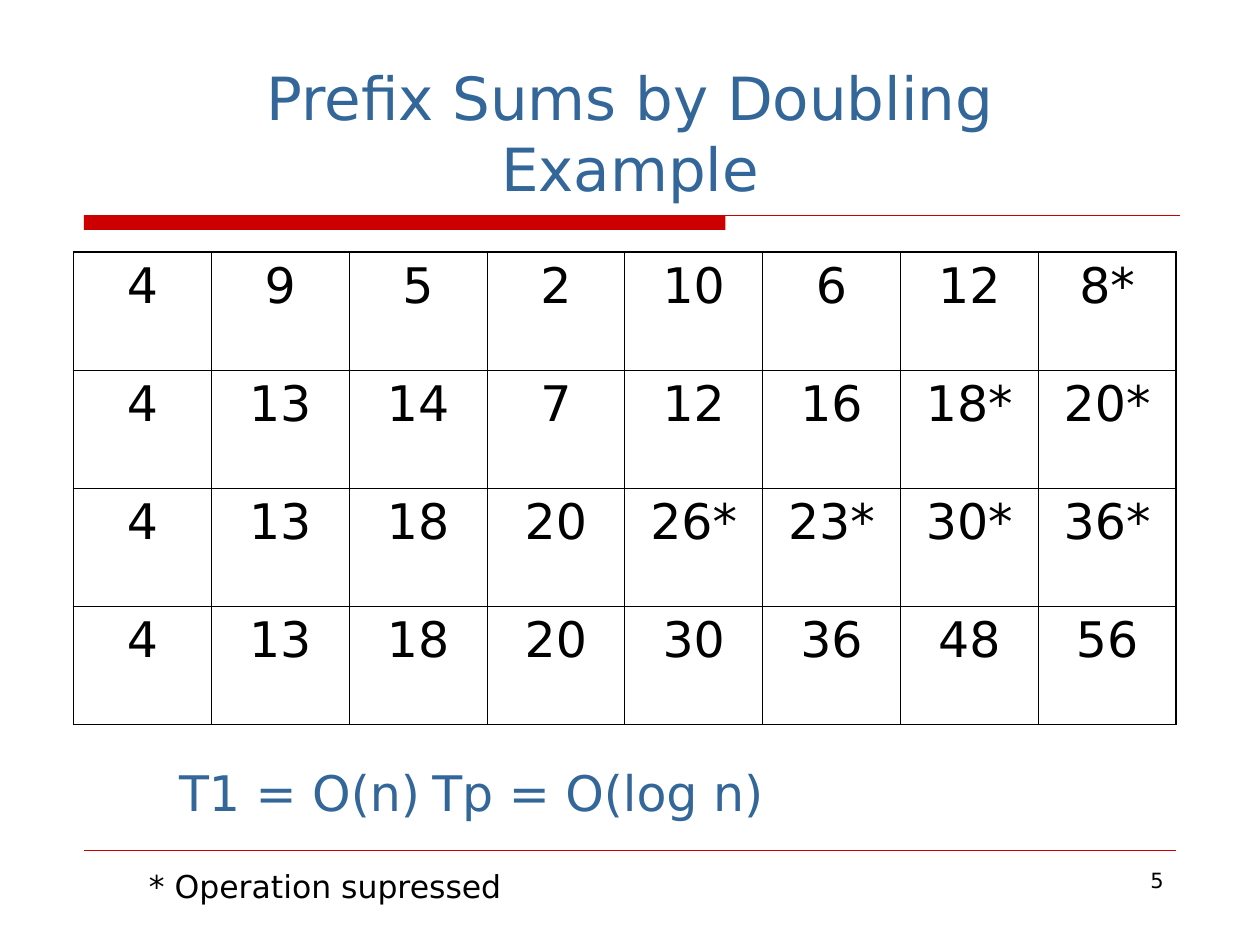
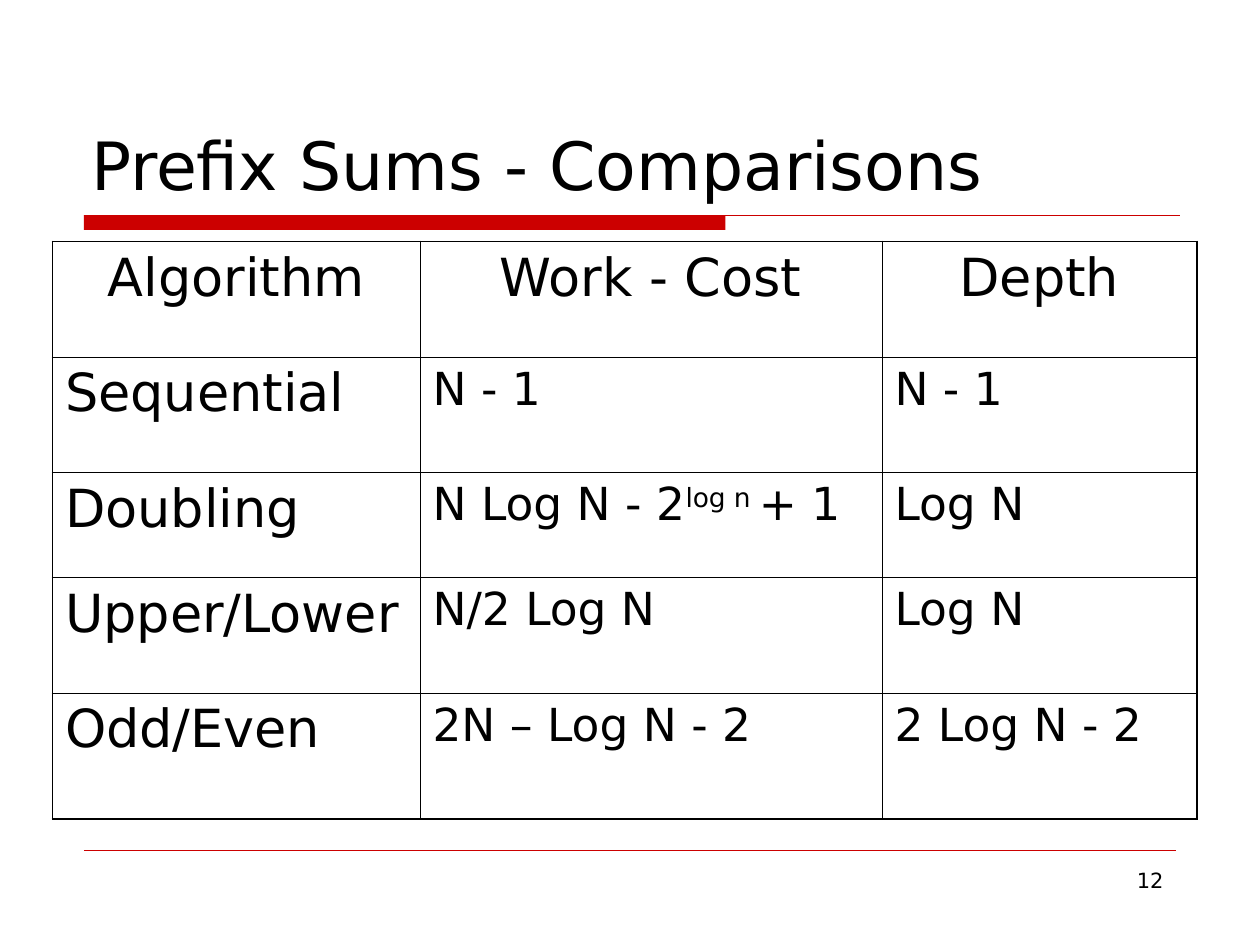
"""Builds two slides on prefix sums: a doubling example and a comparison table."""
from lxml import etree
from pptx import Presentation
from pptx import util as u
from pptx.dml.color import RGBColor
from pptx.enum import shapes, text
from pptx.oxml import ns

COLORS = {"accent": "CC0000", "heading": "336699", "ink": "000000"}
FONT = "DejaVu Sans"
COLUMNS, ROWS = 120, 90
OUTER, INNER = 1.08, 0.45
LEFT, CENTER, RIGHT = text.PP_ALIGN.LEFT, text.PP_ALIGN.CENTER, text.PP_ALIGN.RIGHT
TOP, BOTTOM = text.MSO_ANCHOR.TOP, text.MSO_ANCHOR.BOTTOM


class Deck:
    """Holds the style, the presentation and the current slide."""

    def __init__(self):
        """Start an empty 4:3 presentation."""
        self.prs = Presentation()
        self.prs.slide_width, self.prs.slide_height = u.Inches(10), u.Inches(7.5)
        self.slide = None

    def x(self, columns):
        """Turn grid columns into a length."""
        return round(self.prs.slide_width * columns / COLUMNS)

    def y(self, rows):
        """Turn grid rows into a length."""
        return round(self.prs.slide_height * rows / ROWS)

    def box(self, left, top, width, height):
        """Turn a grid area into lengths."""
        return self.x(left), self.y(top), self.x(width), self.y(height)

    def color(self, name):
        """Look up a named colour."""
        return RGBColor.from_string(COLORS[name])

    def new_slide(self, number):
        """Add a slide with its title band, footer rule and number."""
        self.slide = self.prs.slides.add_slide(self.prs.slide_layouts[6])
        self.band(8, 20.5, 61.1, 1.4)
        self.rule(8, 112.4, 20.5, 0.75)
        self.rule(8, 112, 81, 0.25)
        self.label((86, 82, 26, 6.2), str(number), 12, align=RIGHT)

    def band(self, *area):
        """Draw the solid bar under the title."""
        bar = self.slide.shapes.add_shape(shapes.MSO_SHAPE.RECTANGLE, *self.box(*area))
        bar.shadow.inherit = False
        bar.fill.solid()
        bar.fill.fore_color.rgb = self.color("accent")
        bar.line.fill.background()

    def rule(self, start, end, row, weight):
        """Draw a horizontal line."""
        line = self.slide.shapes.add_connector(
            shapes.MSO_CONNECTOR.STRAIGHT, self.x(start), self.y(row), self.x(end), self.y(row))
        line.line.color.rgb = self.color("accent")
        line.line.width = u.Pt(weight)
        etree.SubElement(line._element.spPr, ns.qn("a:effectLst"))

    def run(self, paragraph, words, size, color="ink", raised=False):
        """Add one styled run."""
        run = paragraph.add_run()
        run.text = words
        run.font.name, run.font.size = FONT, u.Pt(size)
        run.font.color.rgb = self.color(color)
        if raised:
            run._r.get_or_add_rPr().set("baseline", "30000")

    def label(self, area, words, size, color="ink", align=LEFT, anchor=TOP, indent=0, tab=None):
        """Add a text box; each line break in the words starts a new line."""
        frame = self.slide.shapes.add_textbox(*self.box(*area)).text_frame
        frame.word_wrap = True
        frame.vertical_anchor = anchor
        paragraph = frame.paragraphs[0]
        paragraph.alignment = align
        properties = paragraph._p.get_or_add_pPr()
        if indent:
            properties.set("marL", "0")
            properties.set("indent", str(u.Inches(indent)))
        if tab:
            stops = etree.SubElement(properties, ns.qn("a:tabLst"))
            etree.SubElement(stops, ns.qn("a:tab"), pos=str(u.Inches(tab)), algn="l")
        for i, line in enumerate(words.split("\n")):
            if i:
                paragraph.add_line_break()
            self.run(paragraph, line, size, color)

    def title(self, words, size, **style):
        """Add the slide title above the band."""
        self.label((7.5, 4, 105, 16), words, size, anchor=BOTTOM, **style)

    def borders(self, cell, weights):
        """Set the left, right, top and bottom borders of a cell."""
        properties = cell._tc.get_or_add_tcPr()
        for i, (side, weight) in enumerate(zip("LRTB", weights)):
            edge = etree.Element(ns.qn(f"a:ln{side}"), w=str(u.Pt(weight)))
            fill = etree.SubElement(edge, ns.qn("a:solidFill"))
            etree.SubElement(fill, ns.qn("a:srgbClr"), val=COLORS["ink"])
            properties.insert(i, edge)

    def table(self, left, top, widths, heights, entries, style):
        """Add a ruled table; style gives size and alignment for a row and column."""
        area = self.box(left, top, sum(widths), sum(heights))
        grid = self.slide.shapes.add_table(len(heights), len(widths), *area).table
        grid.first_row = grid.horz_banding = False
        for column, width in zip(grid.columns, widths):
            column.width = self.x(width)
        for row, height in zip(grid.rows, heights):
            row.height = self.y(height)
        last_row, last_column = len(heights) - 1, len(widths) - 1
        for r, line in enumerate(entries):
            for c, entry in enumerate(line):
                cell = grid.cell(r, c)
                cell.fill.background()
                at_edge = (c == 0, c == last_column, r == 0, r == last_row)
                self.borders(cell, [OUTER if edge else INNER for edge in at_edge])
                size, align = style(r, c)
                paragraph = cell.text_frame.paragraphs[0]
                paragraph.alignment = align
                for i, part in enumerate(entry.split("^")):
                    self.run(paragraph, part, size, raised=i == 1)


def doubling_example(deck):
    """Build the worked example."""
    steps = ["4 9 5 2 10 6 12 8*",
             "4 13 14 7 12 16 18* 20*",
             "4 13 18 20 26* 23* 30* 36*",
             "4 13 18 20 30 36 48 56"]
    deck.new_slide(5)
    deck.title("Prefix Sums by Doubling\nExample", 34, color="heading", align=CENTER, indent=-0.3)
    deck.table(7, 24, [105 / 8] * 8, [45 / 4] * 4, [step.split() for step in steps],
               lambda r, c: (28, CENTER))
    deck.label((13, 82, 61, 4.8), "* Operation supressed", 18)
    deck.label((10, 72, 89, 6.8), "T1 = O(n)\tTp = O(log n)", 28, color="heading",
               indent=0.49, tab=3.99)


def comparisons(deck):
    """Build the comparison of algorithms."""
    costs = [("Algorithm", "Work - Cost", "Depth"),
             ("Sequential", "N - 1", "N - 1"),
             ("Doubling", "N Log N - 2^log n ^+ 1", "Log N"),
             ("Upper/Lower", "N/2 Log N", "Log N"),
             ("Odd/Even", "2N – Log N - 2", "2 Log N - 2")]
    deck.new_slide(12)
    deck.title("Prefix Sums - Comparisons", 38)
    deck.table(5, 23, [35, 44, 30], [11, 11, 10, 11, 12], costs,
               lambda r, c: (30 if r == 0 or c == 0 else 26, LEFT if r else CENTER))


def main():
    """Build and save the slides."""
    deck = Deck()
    doubling_example(deck)
    comparisons(deck)
    deck.prs.save("out.pptx")


if __name__ == "__main__":
    main()
